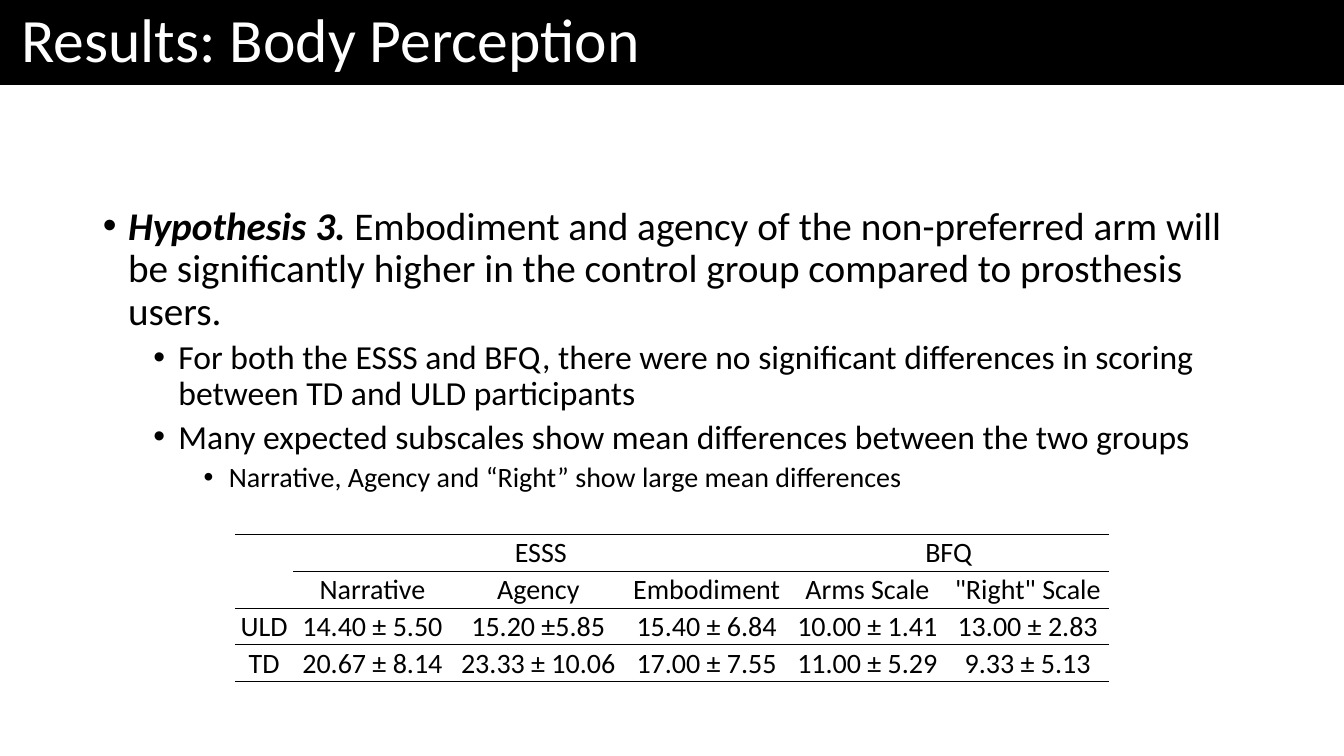
"""Build the body perception results slide with its hypothesis list and score table."""
from dataclasses import dataclass

from lxml import etree
from pptx import Presentation
from pptx import util as u
from pptx.dml.color import RGBColor
from pptx.enum import shapes, text
from pptx.oxml.ns import qn
from pptx.slide import Slide
from pptx.table import _Cell as Cell
from pptx.text.text import TextFrame, _Paragraph as Paragraph

BLACK = RGBColor(0, 0, 0)
WHITE = RGBColor(255, 255, 255)
FONT = "Calibri"
PLAIN_STYLE = "{2D5ABB26-0587-4C30-8999-92F81FD0307C}"


@dataclass(frozen=True)
class Bullet:
    level: int
    size: int
    words: str
    lead: str = ""


@dataclass(frozen=True)
class Group:
    name: str
    first: int
    last: int


BULLETS = [
    Bullet(0, 28, "Embodiment and agency of the non-preferred arm will be significantly "
           "higher in the control group compared to prosthesis users.", "Hypothesis 3. "),
    Bullet(1, 24, "For both the ESSS and BFQ, there were no significant differences in "
           "scoring between TD and ULD participants"),
    Bullet(1, 24, "Many expected subscales show mean differences between the two groups"),
    Bullet(2, 20, "Narrative, Agency and “Right” show large mean differences"),
]
GROUPS = [Group("ESSS", 1, 3), Group("BFQ", 4, 5)]
SCORES = [
    ["", "Narrative", "Agency", "Embodiment", "Arms Scale", '"Right" Scale'],
    ["ULD", "14.40 ± 5.50", "15.20 ±5.85", "15.40 ± 6.84", "10.00 ± 1.41", "13.00 ± 2.83"],
    ["TD", "20.67 ± 8.14", "23.33 ± 10.06", "17.00 ± 7.55", "11.00 ± 5.29", "9.33 ± 5.13"],
]
COLUMN_WIDTHS = [0.58, 1.57, 1.72, 1.62, 1.57, 1.61]
TABLE_HEIGHT = 1.46


def place(shape, left: float, top: float, width: float, height: float) -> None:
    """Move and size a shape, in inches."""
    shape.left, shape.top = u.Inches(left), u.Inches(top)
    shape.width, shape.height = u.Inches(width), u.Inches(height)


def add_span(para: Paragraph, words: str, size: int, color: RGBColor = BLACK,
             strong: bool = False) -> None:
    """Add one formatted run, bold and italic when strong."""
    span = para.add_run()
    span.text = words
    span.font.name = FONT
    span.font.size = u.Pt(size)
    span.font.color.rgb = color
    span.font.bold = span.font.italic = strong


def add_title(page: Slide) -> None:
    """Draw the black band and the title on it."""
    band = page.shapes.add_shape(shapes.MSO_SHAPE.RECTANGLE, 0, 0,
                                 u.Inches(13.33), u.Inches(0.84))
    band.shadow.inherit = False
    band.fill.solid()
    band.fill.fore_color.rgb = BLACK
    band.line.color.rgb = BLACK
    band.line.width = u.Pt(1)
    band.element.getparent().insert(2, band.element)

    title = page.shapes.title
    place(title, 0.11, 0.01, 8.39, 0.83)
    frame = title.text_frame
    frame.auto_size = text.MSO_AUTO_SIZE.NONE
    frame.vertical_anchor = text.MSO_ANCHOR.MIDDLE
    para = frame.paragraphs[0]
    para.alignment = text.PP_ALIGN.LEFT
    para.line_spacing = 0.9
    add_span(para, "Results: Body Perception", 44, WHITE)


def add_bullet(frame: TextFrame, bullet: Bullet, first: bool) -> None:
    """Write one list item with its hanging bullet."""
    para = frame.paragraphs[0] if first else frame.add_paragraph()
    para.level = bullet.level
    para.line_spacing = 0.9
    para.space_before = u.Pt(5 if bullet.level else 10)
    props = para._p.get_or_add_pPr()
    props.set("marL", str(u.Inches(0.25 + 0.5 * bullet.level)))
    props.set("indent", str(u.Inches(-0.25)))
    etree.SubElement(props, qn("a:buFont")).set("typeface", "Arial")
    etree.SubElement(props, qn("a:buChar")).set("char", "•")
    if bullet.lead:
        add_span(para, bullet.lead, bullet.size, strong=True)
    add_span(para, bullet.words, bullet.size)


def add_list(page: Slide) -> None:
    """Fill the body placeholder with the findings."""
    body = page.placeholders[1]
    place(body, 0.92, 2, 11.5, 4.76)
    frame = body.text_frame
    frame.auto_size = text.MSO_AUTO_SIZE.NONE
    frame.vertical_anchor = text.MSO_ANCHOR.TOP
    for index, bullet in enumerate(BULLETS):
        add_bullet(frame, bullet, index == 0)


def add_rule(cell: Cell, edge: str) -> None:
    """Draw a thin black line on one edge of a cell."""
    line = etree.SubElement(cell._tc.get_or_add_tcPr(), qn(f"a:{edge}"), w=str(u.Pt(0.5)))
    fill = etree.SubElement(line, qn("a:solidFill"))
    etree.SubElement(fill, qn("a:srgbClr"), val=str(BLACK))


def format_cell(cell: Cell, row: int, column: int) -> None:
    """Set margins, borders and fill of a cell."""
    cell.margin_left = cell.margin_right = cell.margin_top = u.Inches(0.01)
    cell.margin_bottom = 0
    cell.vertical_anchor = text.MSO_ANCHOR.MIDDLE
    if row == 0 or (row == 1 and column > 0) or row == 2:
        add_rule(cell, "lnT")
    if (row == 0 and column > 0) or row in (1, 3):
        add_rule(cell, "lnB")
    cell.fill.solid()
    cell.fill.fore_color.rgb = WHITE


def write_cell(cell: Cell, words: str) -> None:
    """Write centred text in a cell."""
    para = cell.text_frame.paragraphs[0]
    para.alignment = text.PP_ALIGN.CENTER
    add_span(para, words, 20)


def add_scores(page: Slide) -> None:
    """Add the table of mean scores."""
    row_count = len(SCORES) + 1
    holder = page.shapes.add_table(row_count, len(COLUMN_WIDTHS), u.Inches(2.33), u.Inches(5.3),
                                   u.Inches(sum(COLUMN_WIDTHS)), u.Inches(TABLE_HEIGHT))
    table = holder.table
    table.first_row = table.horz_banding = False
    next(holder.element.iter(qn("a:tableStyleId"))).text = PLAIN_STYLE
    for column, width in zip(table.columns, COLUMN_WIDTHS):
        column.width = u.Inches(width)
    for row in range(row_count):
        table.rows[row].height = u.Inches(TABLE_HEIGHT / row_count)
        for column in range(len(COLUMN_WIDTHS)):
            format_cell(table.cell(row, column), row, column)
    for group in GROUPS:
        heading = table.cell(0, group.first)
        heading.merge(table.cell(0, group.last))
        write_cell(heading, group.name)
    for row, values in enumerate(SCORES, start=1):
        for column, words in enumerate(values):
            if words:
                write_cell(table.cell(row, column), words)


def main() -> None:
    """Assemble and save the deck."""
    deck = Presentation()
    deck.slide_width, deck.slide_height = u.Inches(13.33), u.Inches(7.5)
    page = deck.slides.add_slide(deck.slide_layouts[1])
    add_title(page)
    add_list(page)
    add_scores(page)
    deck.save("out.pptx")


if __name__ == "__main__":
    main()
